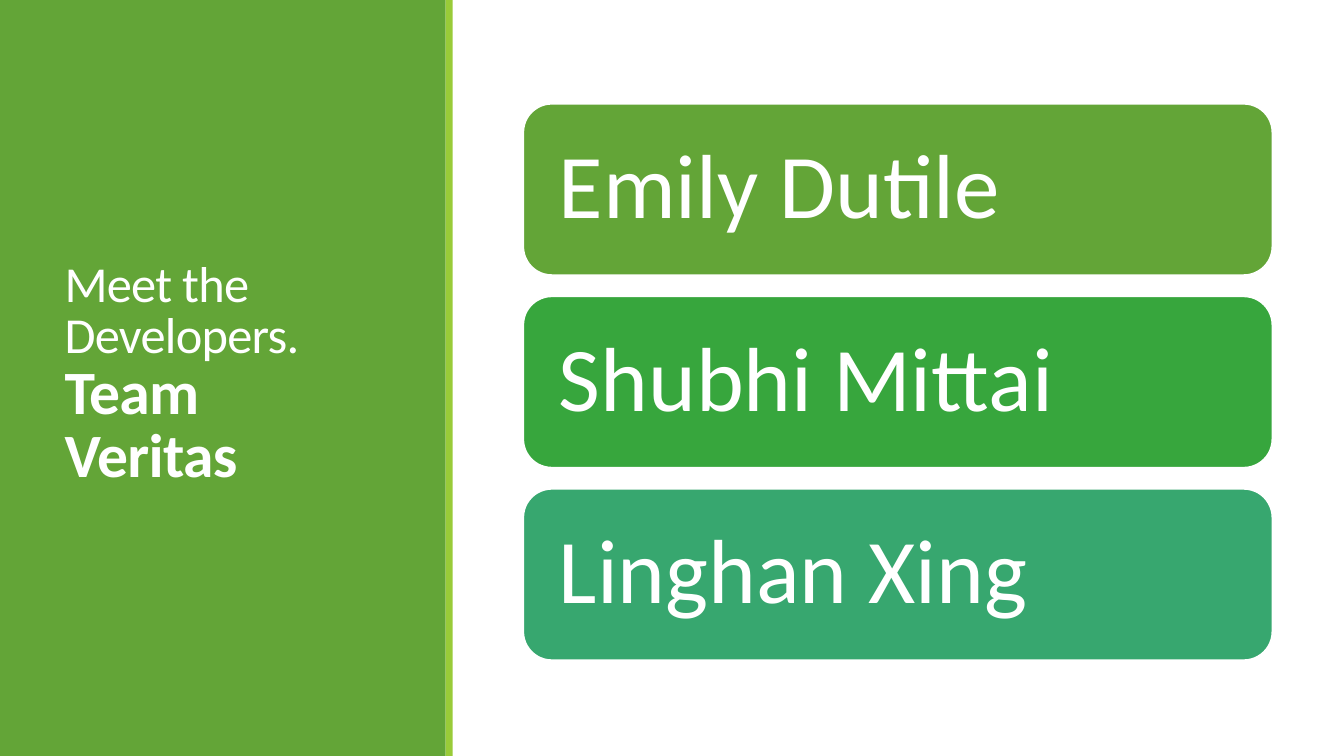
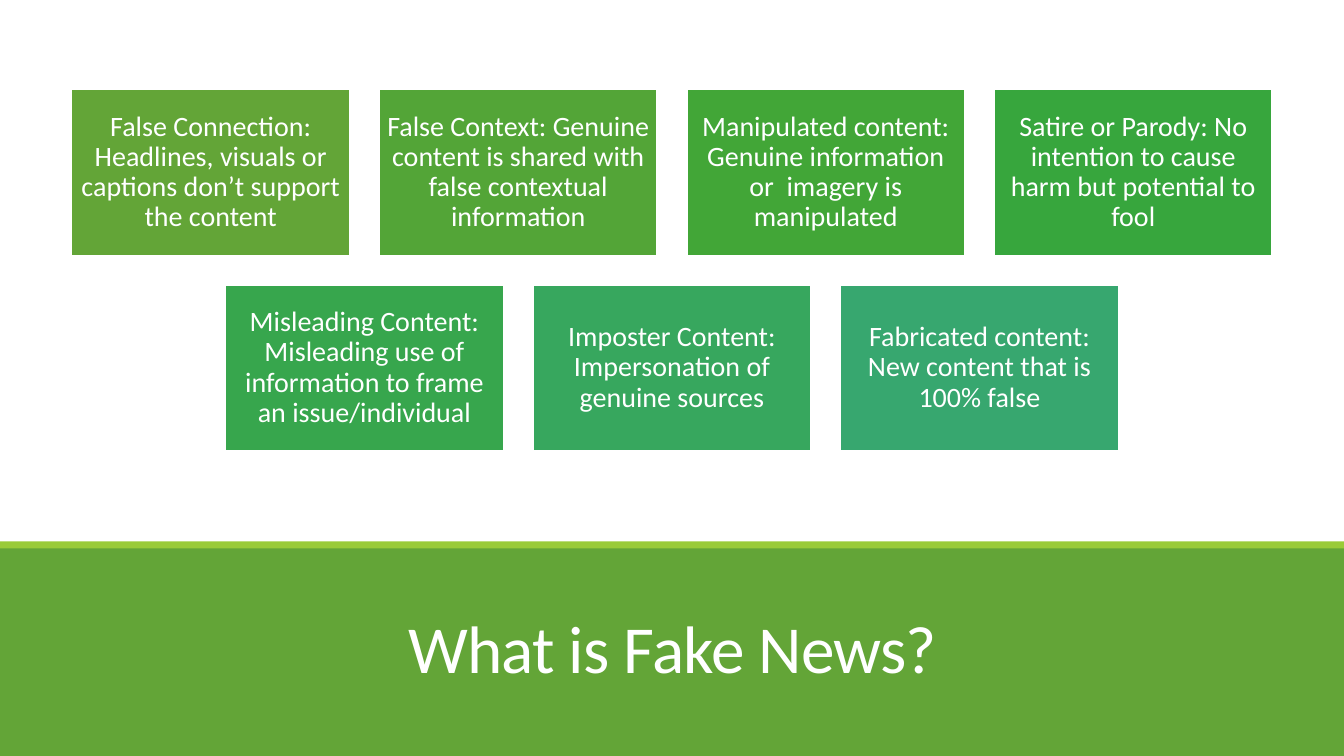
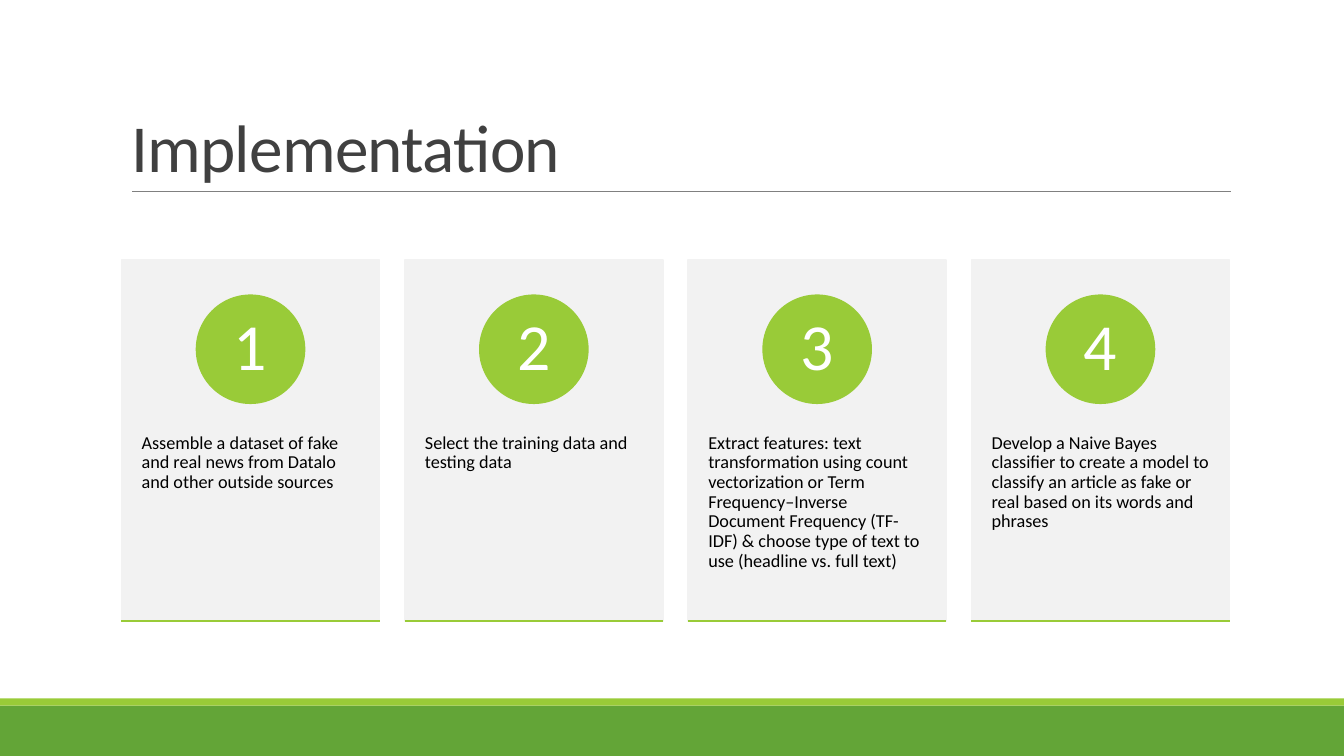
from copy import deepcopy
from dataclasses import dataclass

from pptx import Presentation
from pptx.dml.color import RGBColor
from pptx.enum.shapes import MSO_CONNECTOR as Connector, MSO_SHAPE as Preset
from pptx.enum.text import MSO_ANCHOR as Anchor, MSO_AUTO_SIZE as AutoSize, PP_ALIGN as Align
from pptx.oxml.ns import qn
from pptx.util import Inches, Pt

TEAM_TITLE = "Meet the Developers.\vTeam Veritas"
DEVELOPERS = [
    ("Emily Dutile", "63A537"),
    ("Shubhi Mittai", "37A63D"),
    ("Linghan Xing", "37A76F"),
]

NEWS_TITLE = "What is Fake News?"
NEWS_ROWS = [
    [
        ("False Connection: Headlines, visuals or captions don’t support the content", "63A537"),
        ("False Context: Genuine content is shared with false contextual information", "53A537"),
        ("Manipulated content: Genuine information or \u00a0imagery is manipulated", "42A637"),
        ("Satire or Parody: No intention to cause harm but potential to fool", "37A63D"),
    ],
    [
        ("Misleading Content: Misleading use of information to frame an issue/individual", "37A64D"),
        ("Imposter Content: Impersonation of genuine sources", "37A75E"),
        ("Fabricated content: New content that is 100% false", "37A76F"),
    ],
]

STEPS_TITLE = "Implementation"
STEPS = [
    "Assemble a dataset of fake and real news from Datalo and other outside sources",
    "Select the training data and testing data",
    "Extract features: text transformation using count vectorization or Term "
    "Frequency–Inverse Document Frequency (TF-IDF) & choose type of text to use "
    "(headline vs. full text)",
    "Develop a Naive\u00a0Bayes classifier to create a model to classify an article "
    "as fake or real based on its words and phrases",
]


@dataclass(frozen=True)
class Theme:
    """Colours, font and type sizes shared by the slides."""
    font: str = "Calibri"
    green: str = "63A537"
    lime: str = "99CB38"
    white: str = "FFFFFF"
    card: str = "F2F2F2"
    rule: str = "808080"
    heading: str = "404040"
    body: str = "000000"
    title_size: int = 48
    intro_size: int = 36
    team_size: int = 44
    name_size: int = 65
    tile_size: int = 20
    number_size: int = 47
    step_size: int = 13


THEME = Theme()
SLIDE_WIDTH, SLIDE_HEIGHT = 13.33, 7.5
STRIP = 0.07


def inches(box):
    """Convert a tuple of numbers to lengths."""
    return [Inches(value) for value in box]


def style_run(run, size, color, bold=None):
    """Set the font of one run."""
    run.font.name = THEME.font
    run.font.size = Pt(size)
    run.font.bold = bold
    run.font.color.rgb = RGBColor.from_string(color)


def add_box(slide, preset, box, fill, line=None, line_width=1.25):
    """Add a flat filled shape, outlined when a line colour is given."""
    shape = slide.shapes.add_shape(preset, *inches(box))
    shape.shadow.inherit = False
    shape.fill.solid()
    shape.fill.fore_color.rgb = RGBColor.from_string(fill)
    if line:
        shape.line.color.rgb = RGBColor.from_string(line)
        shape.line.width = Pt(line_width)
    else:
        shape.line.fill.background()
    return shape


def write(shape, text, size, color, insets, align=Align.CENTER, anchor=Anchor.MIDDLE):
    """Write one paragraph in a shape; insets are left, top, right, bottom."""
    frame = shape.text_frame
    frame.text = text
    frame.word_wrap = True
    frame.vertical_anchor = anchor
    (frame.margin_left, frame.margin_top,
     frame.margin_right, frame.margin_bottom) = inches(insets)
    paragraph = frame.paragraphs[0]
    paragraph.alignment = align
    paragraph.line_spacing = 0.9
    for run in paragraph.runs:
        style_run(run, size, color)


def add_line(slide, left, right, top, color, width):
    """Add a horizontal line without a shadow."""
    line = slide.shapes.add_connector(Connector.STRAIGHT, *inches((left, top, right, top)))
    line.line.color.rgb = RGBColor.from_string(color)
    line.line.width = Pt(width)
    properties = line._element.spPr
    properties.append(properties.makeelement(qn("a:effectLst"), {}))


def add_bands(slide, green_box, lime_box):
    """Add the green panel and its lime edge."""
    add_box(slide, Preset.RECTANGLE, green_box, THEME.green)
    add_box(slide, Preset.RECTANGLE, lime_box, THEME.lime)


def set_title(slide, text, box, styles, align=Align.LEFT, anchor=Anchor.BOTTOM):
    """Place the title above the bands; styles hold size, colour, bold per run."""
    title = slide.shapes.title
    title._element.getparent().append(title._element)
    title.left, title.top, title.width, title.height = inches(box)
    frame = title.text_frame
    frame.text = text
    frame.word_wrap = True
    frame.auto_size = AutoSize.NONE
    frame.vertical_anchor = anchor
    paragraph = frame.paragraphs[0]
    paragraph.alignment = align
    paragraph.line_spacing = 0.85
    for run, style in zip(paragraph.runs, styles):
        style_run(run, *style)
        run._r.get_or_add_rPr().set("spc", "-50")
    for line_break in paragraph._p.findall(qn("a:br")):
        line_break.append(deepcopy(paragraph.runs[0]._r.rPr))


def row_lefts(count, width, gap, center):
    """Return the left edges of equal boxes centred on a point."""
    start = center - (count * width + (count - 1) * gap) / 2
    return [start + index * (width + gap) for index in range(count)]


def build_team(slide):
    """Side panel with the title, and one bar per developer."""
    panel = 4.42
    add_bands(slide, (0, 0, panel, SLIDE_HEIGHT), (panel, 0, STRIP, SLIDE_HEIGHT))
    set_title(slide, TEAM_TITLE, (0.54, 0.57, 3.3, 6.31),
              [(THEME.intro_size, THEME.white), (THEME.team_size, THEME.white, True)],
              anchor=Anchor.MIDDLE)
    height, gap = 1.7, 0.21
    for index, (name, color) in enumerate(DEVELOPERS):
        top = 1.03 + index * (height + gap)
        bar = add_box(slide, Preset.ROUNDED_RECTANGLE, (5.19, top, 7.43, height),
                      color, THEME.white)
        write(bar, name, THEME.name_size, THEME.white, [0.27] * 4, Align.LEFT)


def build_news(slide):
    """Centred rows of tiles above a title band."""
    add_bands(slide, (0, 5.42, SLIDE_WIDTH, 2.08), (0, 5.37, SLIDE_WIDTH, STRIP))
    set_title(slide, NEWS_TITLE, (1.17, 5.74, 11, 1.13),
              [(THEME.title_size, THEME.white)], Align.CENTER)
    width, height, gap = 2.77, 1.66, 0.28
    for row, tiles in enumerate(NEWS_ROWS):
        top = 0.88 + row * (height + gap)
        lefts = row_lefts(len(tiles), width, gap, SLIDE_WIDTH / 2)
        for left, (text, color) in zip(lefts, tiles):
            tile = add_box(slide, Preset.RECTANGLE, (left, top, width, height),
                           color, THEME.white, 2)
            write(tile, text, THEME.tile_size, THEME.white, [0.08] * 4)


def build_steps(slide):
    """Four numbered cards under a ruled title."""
    add_bands(slide, (0, 7, SLIDE_WIDTH, 0.5), (0, 6.93, SLIDE_WIDTH, STRIP))
    add_line(slide, 1.31, 12.21, 1.9, THEME.rule, 0.5)
    set_title(slide, STEPS_TITLE, (1.2, 0.31, 11, 1.59),
              [(THEME.title_size, THEME.heading)])
    top, width, height, circle = 2.58, 2.56, 3.58, 1.07
    lefts = row_lefts(len(STEPS), width, 0.25, 6.7)
    for number, (left, text) in enumerate(zip(lefts, STEPS), start=1):
        card = add_box(slide, Preset.RECTANGLE, (left, top, width, height),
                       THEME.card, THEME.card)
        write(card, text, THEME.step_size, THEME.body, (0.2, 1.72, 0.2, 0.36),
              Align.LEFT, Anchor.TOP)
        badge = add_box(slide, Preset.OVAL,
                        (left + (width - circle) / 2, top + 0.35, circle, circle),
                        THEME.lime, THEME.lime)
        write(badge, str(number), THEME.number_size, THEME.white, (0.08, 0.01, 0.08, 0.01))
        add_line(slide, left, left + width, top + height, THEME.lime, 1.25)


def main():
    """Build and save the presentation."""
    presentation = Presentation()
    presentation.slide_width = Inches(SLIDE_WIDTH)
    presentation.slide_height = Inches(SLIDE_HEIGHT)
    title_only = presentation.slide_layouts[5]
    for build in (build_team, build_news, build_steps):
        build(presentation.slides.add_slide(title_only))
    presentation.save("out.pptx")


main()
